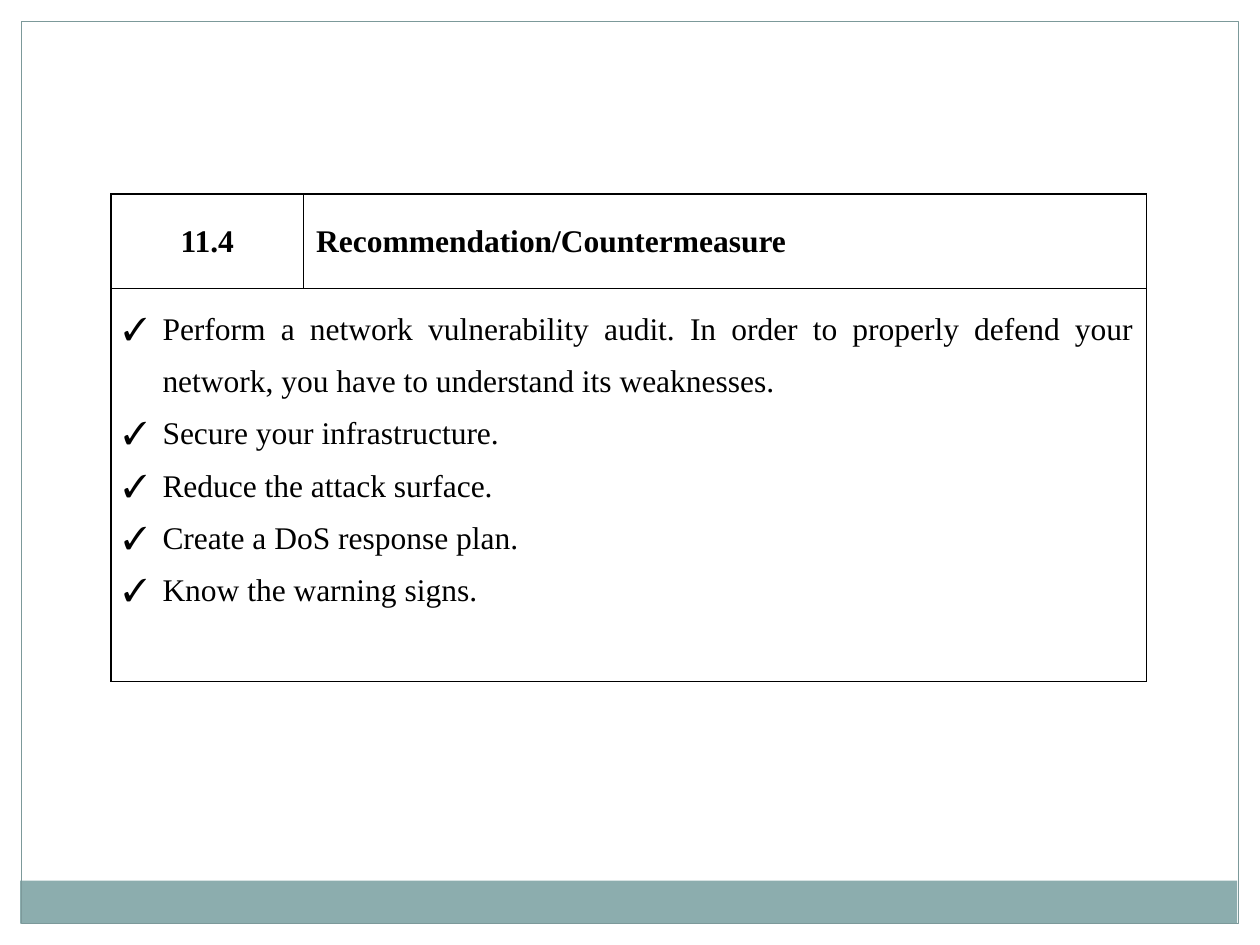
from lxml import etree
from pptx import Presentation
from pptx import util as u
from pptx.dml.color import RGBColor
from pptx.enum import shapes, text
from pptx.oxml import ns

BLACK = RGBColor(0x00, 0x00, 0x00)
WHITE = RGBColor(0xFF, 0xFF, 0xFF)
BAND = RGBColor(0x8C, 0xAD, 0xAE)
FRAME = RGBColor(0x7C, 0x99, 0x9A)
FONT = "Times New Roman"
WIDTH, HEIGHT = 10, 7.5
MARGIN = 0.17
COLUMNS = (1.53, 6.69)
ROWS = (0.75, 3.12)
INDENT = u.Inches(0.31)
RECOMMENDATIONS = (
    "Perform a network vulnerability audit. In order to properly defend your "
    "network, you have to understand its weaknesses.",
    "Secure your infrastructure.",
    "Reduce the attack surface.",
    "Create a DoS response plan.",
    "Know the warning signs.",
)


def add_rectangle(slide, left, top, width, height, fill=None, line=None):
    """Add a rectangle with an optional fill and outline."""
    shape = slide.shapes.add_shape(
        shapes.MSO_SHAPE.RECTANGLE, *map(u.Inches, (left, top, width, height)))
    shape.shadow.inherit = False
    if fill is None:
        shape.fill.background()
    else:
        shape.fill.solid()
        shape.fill.fore_color.rgb = fill
    if line is None:
        shape.line.fill.background()
    else:
        shape.line.color.rgb = line
        shape.line.width = u.Pt(0.75)


def add_page_frame(slide):
    """Add the white margins, the bottom band and the outline."""
    inner_width, inner_height = WIDTH - 2 * MARGIN, HEIGHT - 2 * MARGIN
    add_rectangle(slide, 0, 0, WIDTH, MARGIN, fill=WHITE)
    for left in (WIDTH - MARGIN, 0):
        add_rectangle(slide, left, 0, MARGIN, HEIGHT, fill=WHITE)
    add_rectangle(slide, 0.16, 6.99, inner_width, 0.34, fill=BAND)
    add_rectangle(slide, MARGIN, MARGIN, inner_width, inner_height, line=FRAME)


def add_grid(slide, left, top):
    """Add the plain table with its column and row sizes."""
    table = slide.shapes.add_table(
        len(ROWS), len(COLUMNS), u.Inches(left), u.Inches(top),
        u.Inches(sum(COLUMNS)), u.Inches(sum(ROWS))).table
    table.first_row = table.horz_banding = False
    for column, width in zip(table.columns, COLUMNS):
        column.width = u.Inches(width)
    for row, height in zip(table.rows, ROWS):
        row.height = u.Inches(height)
    for cell in table.iter_cells():
        cell.fill.background()
        add_borders(cell)
    return table


def add_borders(cell):
    """Draw a thin black border on every side of a cell."""
    properties = cell._tc.get_or_add_tcPr()
    for position, side in enumerate(("lnL", "lnR", "lnT", "lnB")):
        line = etree.Element(ns.qn(f"a:{side}"), w=str(u.Pt(1)))
        fill = etree.SubElement(line, ns.qn("a:solidFill"))
        etree.SubElement(fill, ns.qn("a:srgbClr"), val=str(BLACK))
        properties.insert(position, line)


def write_paragraph(paragraph, words, alignment, bold=False):
    """Fill a paragraph with styled text."""
    paragraph.text = words
    paragraph.alignment = alignment
    paragraph.font.name = FONT
    paragraph.font.size = u.Pt(18)
    paragraph.font.bold = bold
    paragraph.font.color.rgb = BLACK


def write_heading(cell, words, alignment):
    """Write a bold, vertically centred heading."""
    cell.vertical_anchor = text.MSO_ANCHOR.MIDDLE
    write_paragraph(cell.text_frame.paragraphs[0], words, alignment, bold=True)


def write_checklist(cell, items):
    """Write the items as a justified list with check marks."""
    frame = cell.text_frame
    for index, item in enumerate(items):
        paragraph = frame.add_paragraph() if index else frame.paragraphs[0]
        properties = paragraph._p.get_or_add_pPr()
        properties.set("marL", str(INDENT))
        properties.set("indent", str(-INDENT))
        etree.SubElement(properties, ns.qn("a:buFont"), typeface=FONT)
        etree.SubElement(properties, ns.qn("a:buChar"), char="✓")
        paragraph.line_spacing = 1.5
        write_paragraph(paragraph, item, text.PP_ALIGN.JUSTIFY)


def main():
    """Build and save the slide."""
    presentation = Presentation()
    presentation.slide_width = u.Inches(WIDTH)
    presentation.slide_height = u.Inches(HEIGHT)
    slide = presentation.slides.add_slide(presentation.slide_layouts[6])
    add_page_frame(slide)

    table = add_grid(slide, 0.88, 1.54)
    write_heading(table.cell(0, 0), "11.4", text.PP_ALIGN.CENTER)
    write_heading(table.cell(0, 1), "Recommendation/Countermeasure",
                  text.PP_ALIGN.LEFT)
    table.cell(1, 0).merge(table.cell(1, 1))
    write_checklist(table.cell(1, 0), RECOMMENDATIONS)
    presentation.save("out.pptx")


if __name__ == "__main__":
    main()
